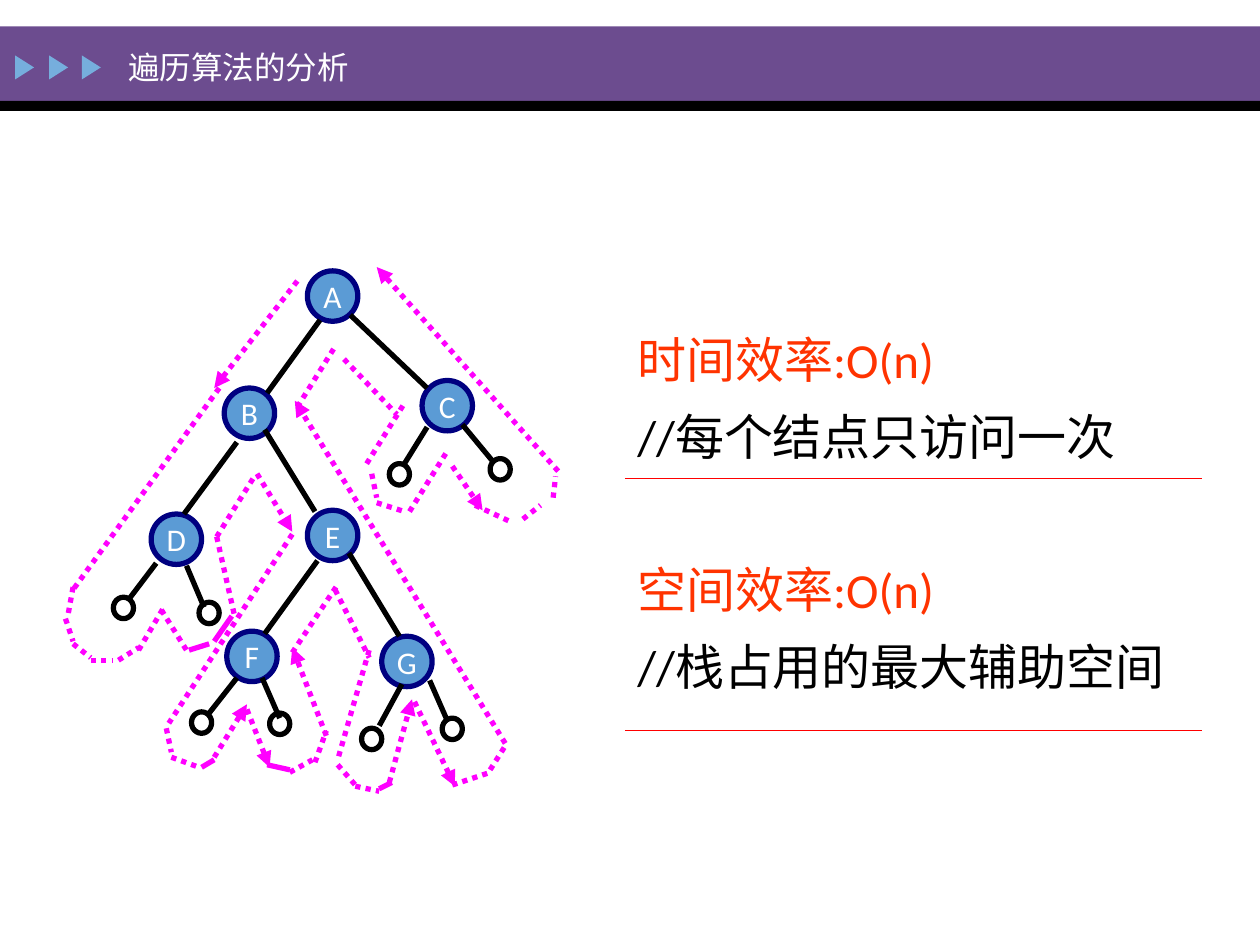
"""Build a slide on the time and space cost of binary tree traversal."""
from lxml.etree import SubElement
from pptx import Presentation
from pptx.dml.color import RGBColor
from pptx.enum.dml import MSO_LINE
from pptx.enum.shapes import MSO_CONNECTOR, MSO_SHAPE
from pptx.enum.text import MSO_ANCHOR, PP_ALIGN
from pptx.oxml.ns import qn
from pptx.util import Inches, Pt

COLORS = {
    "banner": "6C4C8F", "black": "000000", "marker": "76AEDD", "white": "FFFFFF",
    "node": "5B9BD5", "node_border": "000080", "tour": "FF00FF",
    "heading": "FF3300", "rule": "FF0000",
}
FONT = "Calibri"
NODE_SIZE = 0.4
LEAF_SIZE = (0.16, 0.17)

NODES = {
    "A": (2.44, 2.15), "B": (1.78, 3.08), "C": (3.35, 3.02), "D": (1.2, 4.08),
    "E": (2.44, 4.05), "F": (1.8, 5.01), "G": (3.03, 5.05),
}
LEAVES = [
    (0.9, 4.74), (1.58, 4.78), (1.52, 5.65), (2.14, 5.66),
    (2.87, 5.78), (3.51, 5.7), (3.89, 3.64), (3.09, 3.68),
]
BRANCHES = [
    (2.54, 2.54, 2.12, 3.12), (1.88, 3.51, 1.46, 4.08), (2.52, 4.45, 2.1, 5.03),
    (3.39, 3.39, 3.21, 3.68), (2.78, 2.5, 3.39, 3.08), (2.1, 3.41, 2.5, 4.06),
    (2.77, 4.39, 3.17, 5.05), (1.24, 4.47, 1.02, 4.76), (1.48, 4.49, 1.62, 4.82),
    (1.88, 5.38, 1.66, 5.66), (3.19, 5.43, 3.01, 5.76), (2.08, 5.38, 2.22, 5.7),
    (3.41, 5.4, 3.55, 5.72), (3.67, 3.37, 3.91, 3.66),
]
TOUR_SOLID = [
    (1.6, 6.09, 1.7, 6.03), (2.12, 6.07, 2.3, 6.11), (3.01, 6.26, 3.11, 6.21),
    (1.5, 5.16, 1.66, 5.11), (1.7, 5.09, 1.84, 4.89),
]
TOUR_DOTTED = [
    (0.52, 4.91, 0.58, 5.09), (0.72, 5.24, 0.9, 5.24), (4.39, 3.95, 4.41, 3.78),
    (1.74, 3.08, 0.58, 4.68), (0.58, 4.66, 0.54, 4.88), (0.58, 5.11, 0.72, 5.22),
    (0.94, 5.24, 1.1, 5.14), (1.1, 5.16, 1.3, 4.82), (1.28, 4.84, 1.48, 5.16),
    (1.72, 4.26, 1.86, 4.88), (1.72, 4.26, 2.02, 3.78), (2.32, 4.24, 1.34, 5.74),
    (1.32, 5.78, 1.36, 5.97), (1.36, 6.01, 1.58, 6.09), (2.3, 6.13, 2.48, 6.03),
    (2.5, 6.05, 2.59, 5.8), (2.32, 5.18, 2.68, 4.64), (2.66, 4.68, 2.93, 5.22),
    (2.93, 5.16, 2.68, 6.03), (2.68, 6.07, 2.82, 6.23), (2.82, 6.24, 3.01, 6.28),
    (3.59, 6.23, 3.89, 6.13), (3.89, 6.11, 4.01, 5.92), (3.25, 4.06, 3.55, 3.58),
    (3.77, 4.01, 4.05, 4.14), (4.15, 4.12, 4.29, 4.01), (2.36, 3.23, 2.66, 2.75),
    (2.73, 2.85, 3.15, 3.29), (2.91, 3.68, 3.21, 3.2), (2.95, 3.76, 2.99, 3.95),
    (2.99, 3.99, 3.21, 4.06),
]
TOUR_ARROWS = [
    (2.36, 2.23, 1.7, 3.08), (2.04, 3.76, 2.32, 4.22), (1.7, 6.01, 1.96, 5.59),
    (1.96, 5.63, 2.14, 6.09), (2.59, 5.84, 2.32, 5.14), (3.09, 6.21, 3.27, 5.55),
    (3.29, 5.57, 3.61, 6.24), (4.01, 5.9, 2.34, 3.18), (3.59, 3.7, 3.83, 4.05),
    (4.43, 3.74, 2.99, 2.12),
]
ANALYSIS = [
    ("时间效率:O(n)", "heading", 0), ("//每个结点只访问一次", "black", 0),
    ("空间效率:O(n)", "heading", 44), ("//栈占用的最大辅助空间", "black", 0),
]


def rgb(name):
    """Return the palette colour with the given name."""
    return RGBColor.from_string(COLORS[name])


def style_text(paragraph, size, color):
    """Give the runs of a paragraph their font, size and colour."""
    for run in paragraph.runs:
        run.font.name = FONT
        run.font.size = Pt(size)
        run.font.color.rgb = rgb(color)


def add_preset(slide, preset, left, top, width, height, fill=None, border=None):
    """Add a preset shape with an optional fill and border."""
    shape = slide.shapes.add_shape(
        preset, Inches(left), Inches(top), Inches(width), Inches(height))
    shape.shadow.inherit = False
    if fill:
        shape.fill.solid()
        shape.fill.fore_color.rgb = rgb(fill)
    else:
        shape.fill.background()
    if border:
        shape.line.color.rgb = rgb(border)
        shape.line.width = Pt(3)
    else:
        shape.line.fill.background()
    return shape


def add_segment(slide, ends, color, width=3, dotted=False, arrow=False):
    """Add a straight line, optionally dotted or with an arrowhead."""
    segment = slide.shapes.add_connector(
        MSO_CONNECTOR.STRAIGHT, *(Inches(value) for value in ends))
    segment.line.color.rgb = rgb(color)
    segment.line.width = Pt(width)
    if dotted:
        segment.line.dash_style = MSO_LINE.ROUND_DOT
    if arrow:
        SubElement(segment.line._get_or_add_ln(), qn("a:tailEnd"), type="triangle")
    SubElement(segment._element.spPr, qn("a:effectLst"))


def add_text_frame(slide, left, top, width, height):
    """Add a wrapping text box and return its text frame."""
    box = slide.shapes.add_textbox(
        Inches(left), Inches(top), Inches(width), Inches(height))
    box.text_frame.word_wrap = True
    return box.text_frame


def add_banner(slide):
    """Add the title band with its three markers and the title."""
    add_preset(slide, MSO_SHAPE.RECTANGLE, 0, 0.21, 10, 0.59, "banner")
    add_preset(slide, MSO_SHAPE.RECTANGLE, 0, 0.8, 10, 0.08, "black")
    for left in (0.1, 0.37, 0.63):
        marker = add_preset(
            slide, MSO_SHAPE.ISOSCELES_TRIANGLE, left, 0.46, 0.19, 0.15, "marker")
        marker.rotation = 90
    title = add_text_frame(slide, 0.92, 0.25, 4.04, 0.56)
    title.vertical_anchor = MSO_ANCHOR.MIDDLE
    title.text = "遍历算法的分析"
    style_text(title.paragraphs[0], 18, "white")


def add_node(slide, letter, left, top):
    """Add a lettered tree node."""
    node = add_preset(slide, MSO_SHAPE.OVAL, left, top, NODE_SIZE, NODE_SIZE,
                      "node", "node_border")
    label = node.text_frame
    label.word_wrap = False
    label.vertical_anchor = MSO_ANCHOR.MIDDLE
    label.text = letter
    label.paragraphs[0].alignment = PP_ALIGN.CENTER
    style_text(label.paragraphs[0], 18, "white")


def add_tree(slide):
    """Add the tree and the traversal tour around it."""
    for letter, corner in NODES.items():
        add_node(slide, letter, *corner)
    for corner in LEAVES:
        add_preset(slide, MSO_SHAPE.OVAL, *corner, *LEAF_SIZE, border="black")
    for ends in BRANCHES:
        add_segment(slide, ends, "black")
    for ends in TOUR_SOLID:
        add_segment(slide, ends, "tour")
    for ends in TOUR_DOTTED:
        add_segment(slide, ends, "tour", dotted=True)
    for ends in TOUR_ARROWS:
        add_segment(slide, ends, "tour", dotted=True, arrow=True)


def add_analysis(slide):
    """Add the two efficiency statements and the rules below them."""
    analysis = add_text_frame(slide, 4.96, 2.43, 4.58, 3.16)
    for index, (statement, color, gap) in enumerate(ANALYSIS):
        paragraph = analysis.add_paragraph() if index else analysis.paragraphs[0]
        paragraph.text = statement
        paragraph.line_spacing = 1.3
        if gap:
            paragraph.space_before = Pt(gap)
        style_text(paragraph, 28, color)
    for height in (3.8, 5.8):
        add_segment(slide, (4.96, height, 9.54, height), "rule", width=0.75)


def main():
    """Build and save the slide."""
    deck = Presentation()
    deck.slide_width, deck.slide_height = Inches(10), Inches(7.5)
    slide = deck.slides.add_slide(deck.slide_layouts[6])
    add_banner(slide)
    add_tree(slide)
    add_analysis(slide)
    deck.save("out.pptx")


if __name__ == "__main__":
    main()
